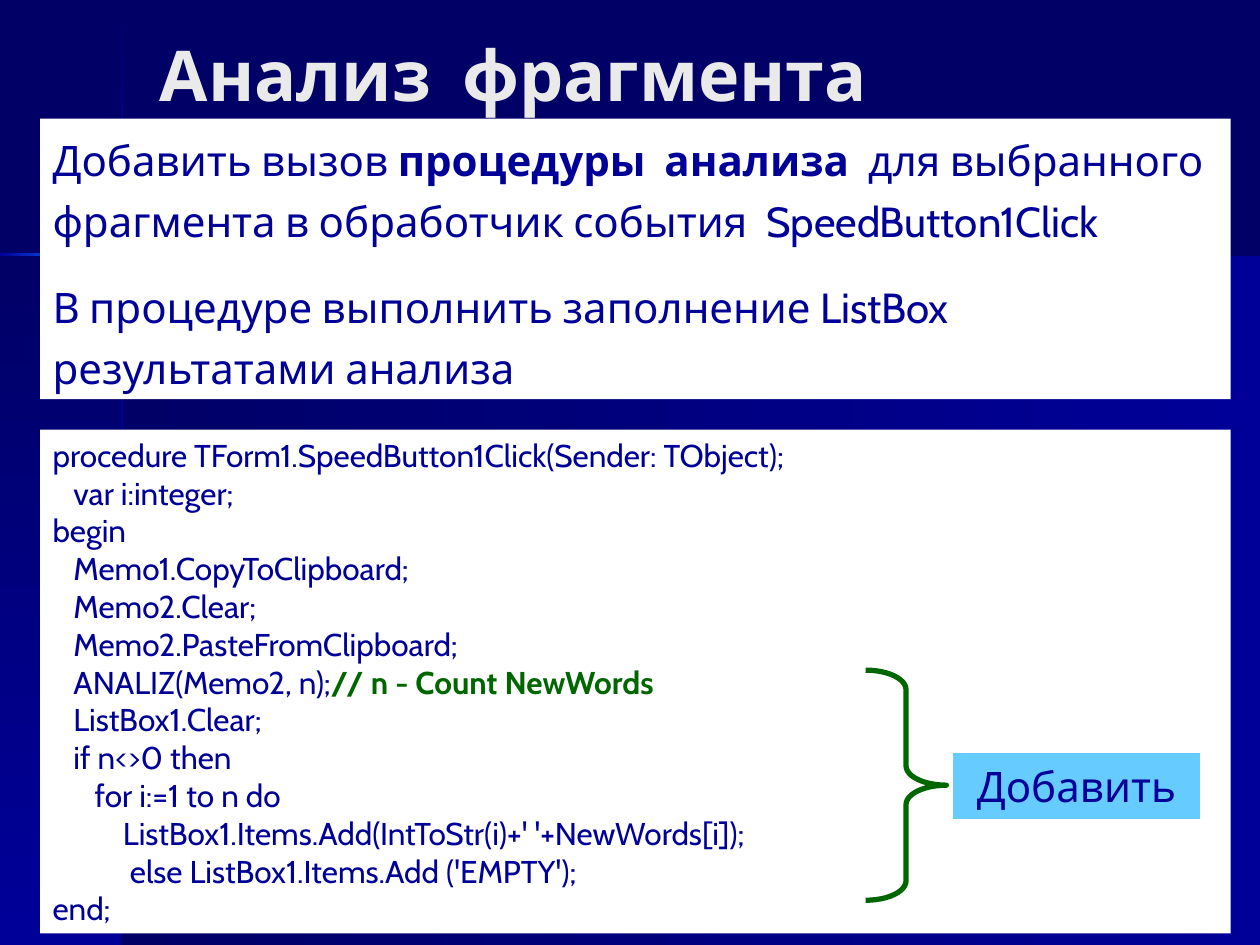
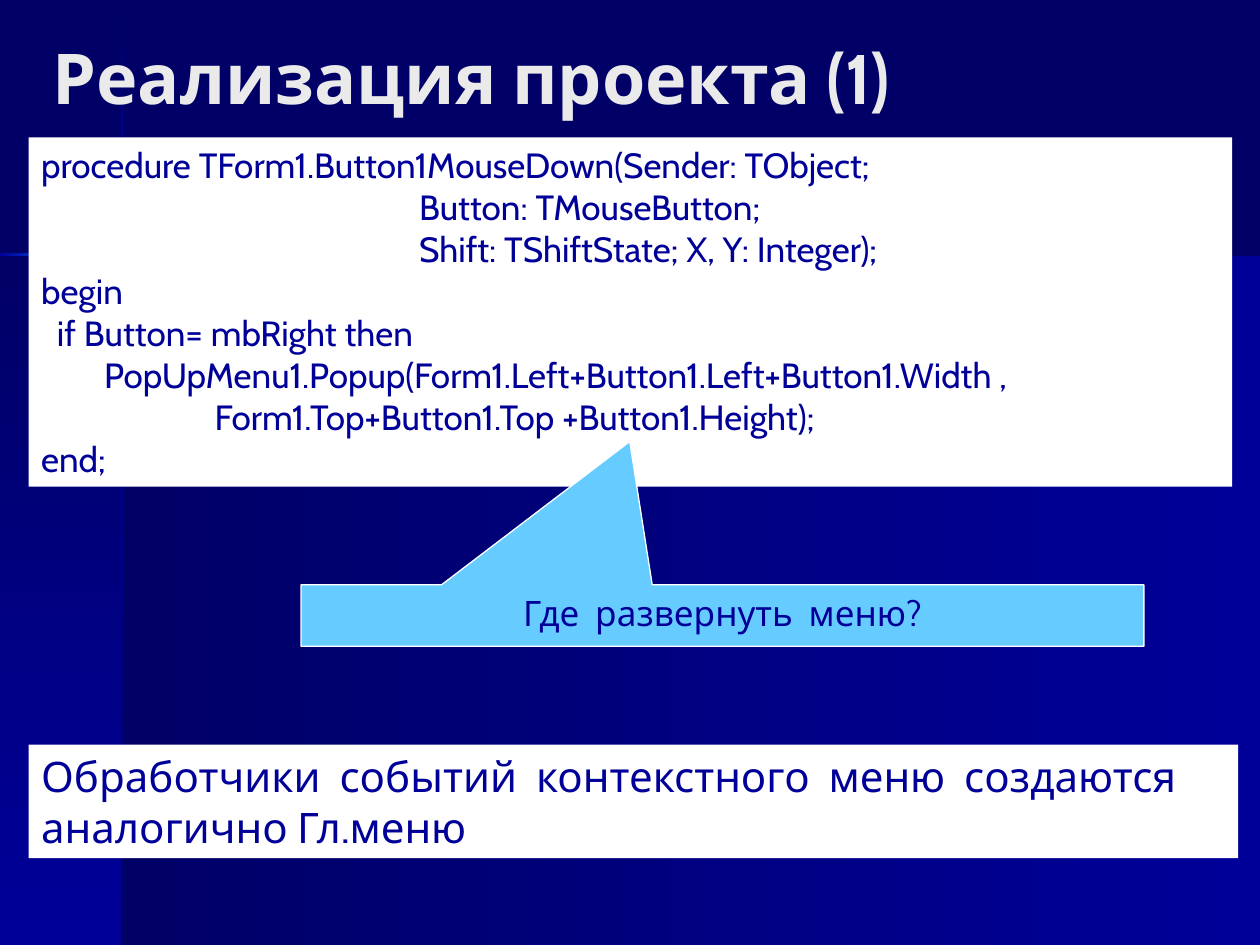
from pptx import Presentation
from pptx.dml.color import RGBColor
from pptx.enum.shapes import MSO_SHAPE
from pptx.enum.text import MSO_ANCHOR, PP_ALIGN
from pptx.util import Cm, Pt

RECTANGLE = MSO_SHAPE.RECTANGLE
CALLOUT = MSO_SHAPE.RECTANGULAR_CALLOUT
RIGHT_BRACE = MSO_SHAPE.RIGHT_BRACE
TOP, MIDDLE = MSO_ANCHOR.TOP, MSO_ANCHOR.MIDDLE
LEFT, CENTER = PP_ALIGN.LEFT, PP_ALIGN.CENTER

FONT = "Cabin"
NIGHT, NAVY, BRIGHT = "000066", "000099", "0066FF"
WHITE, PALE, SKY, GREEN = "FFFFFF", "EAEAEA", "66CCFF", "006600"
LEFTWARD, DOWNWARD = 180, 270
TITLE_ONLY = 5

BANDS = [
    ((2.46, 5.13, 22.94, 13.92), NAVY, NIGHT, LEFTWARD),
    ((0, 5.13, 2.46, 13.92), NIGHT, NAVY, DOWNWARD),
    ((2.44, 0.03, 0.05, 3.07), NIGHT, NAVY, DOWNWARD),
    ((2.44, 7.16, 0.05, 11.89), NAVY, NIGHT, DOWNWARD),
    ((4.5, 5.11, 20.9, 0.05), NIGHT, NAVY, LEFTWARD),
    ((0, 5.11, 1.55, 0.05), BRIGHT, NAVY, LEFTWARD),
]

TASK = [
    (0, ["Добавить вызов ", "процедуры  анализа",
         "  для выбранного фрагмента в обработчик события  SpeedButton1Click"]),
    (0, ["В процедуре выполнить заполнение ListBox результатами анализа"]),
]

CLICK_HANDLER = [
    (0, ["procedure TForm1.SpeedButton1Click(Sender: TObject);"]),
    (0.42, ["var i:integer;"]),
    (0, ["begin"]),
    (0.42, ["Memo1.CopyToClipboard;"]),
    (0.42, ["Memo2.Clear;"]),
    (0.42, ["Memo2.PasteFromClipboard;"]),
    (0.42, ["ANALIZ(Memo2, n);", "// n - Count NewWords"]),
    (0.42, ["ListBox1.Clear;"]),
    (0.42, ["if n<>0 then"]),
    (0.85, ["for i:=1 to n do"]),
    (1.42, ["ListBox1.Items.Add(IntToStr(i)+' '+NewWords[i]);"]),
    (1.56, ["else ListBox1.Items.Add ('EMPTY');"]),
    (0, ["end;"]),
]

MOUSE_HANDLER = [
    (0, ["procedure TForm1.Button1MouseDown(Sender: TObject;"]),
    (7.62, ["Button: TMouseButton;"]),
    (7.62, ["Shift: TShiftState; X, Y: Integer);"]),
    (0, ["begin"]),
    (0.32, ["if Button= mbRight then"]),
    (1.27, ["PopUpMenu1.Popup(Form1.Left+Button1.Left+Button1.Width ,"]),
    (3.5, ["Form1.Top+Button1.Top +Button1.Height);"]),
    (0, ["end;"]),
]


def color(value):
    return RGBColor.from_string(value)


def place(shape, box):
    shape.left, shape.top, shape.width, shape.height = map(Cm, box)


def style_run(run, size, tint, bold=False):
    run.font.name = FONT
    run.font.size = Pt(size)
    run.font.bold = bold
    run.font.color.rgb = color(tint)


def add_outline(slide, kind, box):
    shape = slide.shapes.add_shape(kind, *map(Cm, box))
    shape.shadow.inherit = False
    return shape


def move_bands_to_master(master, slide):
    master.background.fill.solid()
    master.background.fill.fore_color.rgb = color(NIGHT)
    for position, (box, start, end, angle) in enumerate(BANDS, 2):
        band = add_outline(slide, RECTANGLE, box)
        band.line.fill.background()
        band.fill.gradient()
        band.fill.gradient_angle = angle
        for stop, tint in zip(band.fill.gradient_stops, (start, end)):
            stop.color.rgb = color(tint)
        master.shapes.element.insert(position, band.element)


def set_title(slide, text, box):
    title = slide.shapes.title
    place(title, box)
    frame = title.text_frame
    frame.text = text
    frame.vertical_anchor = MIDDLE
    frame.paragraphs[0].alignment = LEFT
    style_run(frame.paragraphs[0].runs[0], 40, PALE, True)


def write_lines(frame, lines, size, accent=NAVY, before=0, spacing=1.0):
    for number, (indent, parts) in enumerate(lines):
        paragraph = frame.add_paragraph() if number else frame.paragraphs[0]
        paragraph.text = parts[0]
        for part in parts[1:]:
            paragraph.add_run().text = part
        paragraph.alignment = LEFT
        paragraph.space_before = Pt(before)
        paragraph.line_spacing = spacing
        if indent:
            properties = paragraph._p.get_or_add_pPr()
            properties.set("marL", str(Cm(indent)))
            properties.set("indent", "0")
        for place_in_line, run in enumerate(paragraph.runs):
            emphasised = place_in_line == 1
            style_run(run, size, accent if emphasised else NAVY, emphasised)


def add_panel(slide, box, lines, size, **options):
    panel = add_outline(slide, RECTANGLE, box)
    panel.fill.solid()
    panel.fill.fore_color.rgb = color(WHITE)
    panel.line.fill.background()
    panel.text_frame.vertical_anchor = TOP
    write_lines(panel.text_frame, lines, size, **options)


def add_label(slide, kind, box, text, size, anchor):
    label = add_outline(slide, kind, box)
    label.fill.solid()
    label.fill.fore_color.rgb = color(SKY)
    label.line.color.rgb = color(WHITE)
    label.line.width = Pt(0.75)
    frame = label.text_frame
    frame.text = text
    frame.vertical_anchor = anchor
    frame.paragraphs[0].alignment = CENTER
    style_run(frame.paragraphs[0].runs[0], size, NAVY)
    return label


def add_brace(slide, box):
    brace = add_outline(slide, RIGHT_BRACE, box)
    brace.adjustments[0] = 0.24
    brace.fill.background()
    brace.line.color.rgb = color(GREEN)
    brace.line.width = Pt(3)


def build_analysis(slide):
    set_title(slide, "Анализ  фрагмента", (2.97, 0.84, 20.96, 1.3))
    add_panel(slide, (0.81, 2.39, 24, 5.66), TASK, 24, before=15, spacing=1.2)
    add_panel(slide, (0.81, 8.66, 24, 10.16), CLICK_HANDLER, 18, accent=GREEN)
    add_brace(slide, (17.45, 13.51, 1.63, 4.64))
    add_label(slide, RECTANGLE, (19.2, 15.16, 5, 1.37), "Добавить", 24, MIDDLE)


def build_implementation(slide):
    set_title(slide, "Реализация проекта (1)", (0.81, 0.84, 23.09, 1.42))
    add_panel(slide, (0.58, 2.77, 24.26, 7.04), MOUSE_HANDLER, 20)
    question = add_label(slide, CALLOUT, (6.07, 11.79, 16.99, 1.24),
                         "Где  развернуть  меню?", 20, TOP)
    question.adjustments[0] = -0.11
    question.adjustments[1] = -2.83
    note = "Обработчики  событий  контекстного  меню  создаются аналогично Гл.меню"
    add_panel(slide, (0.58, 15.01, 24.38, 2.29), [(0, [note])], 24, before=15)


def main():
    deck = Presentation()
    deck.slide_width, deck.slide_height = Cm(25.4), Cm(19.05)
    layout = deck.slide_layouts[TITLE_ONLY]
    analysis = deck.slides.add_slide(layout)
    move_bands_to_master(deck.slide_master, analysis)
    build_analysis(analysis)
    build_implementation(deck.slides.add_slide(layout))
    deck.save("out.pptx")


if __name__ == "__main__":
    main()
